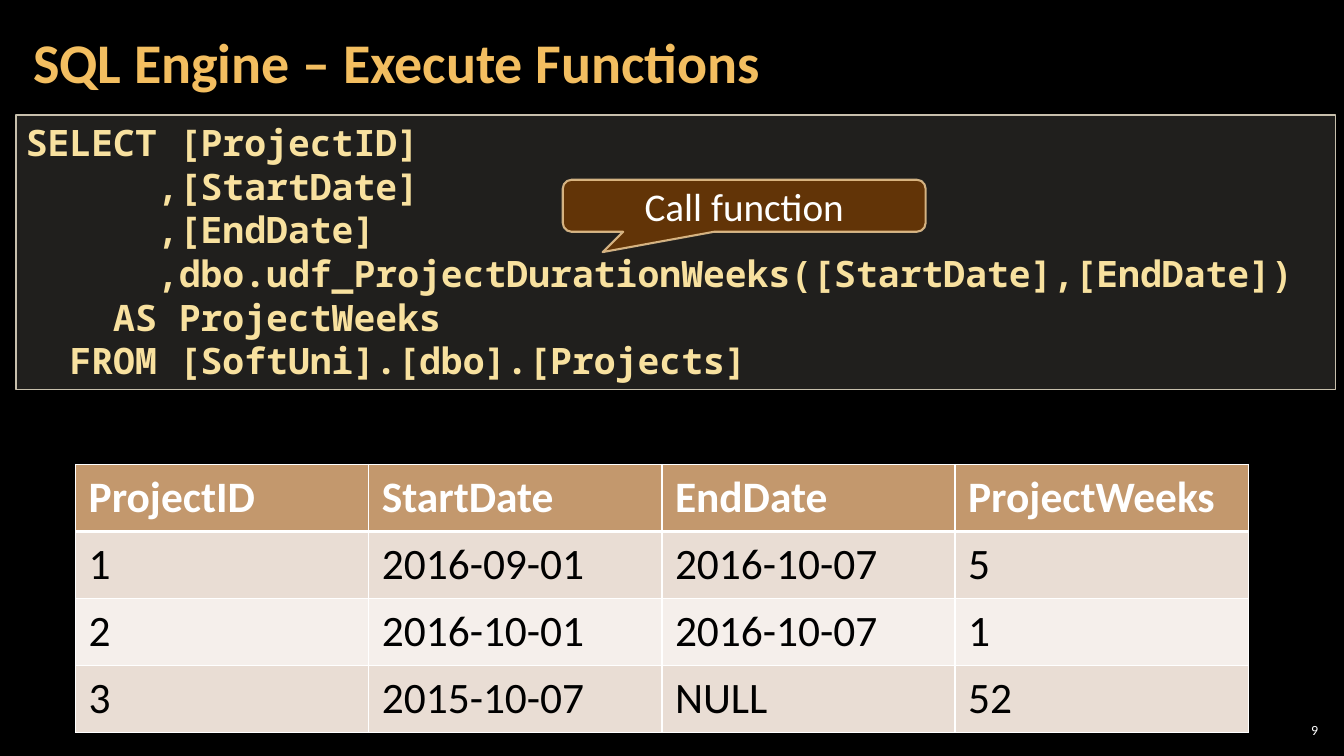
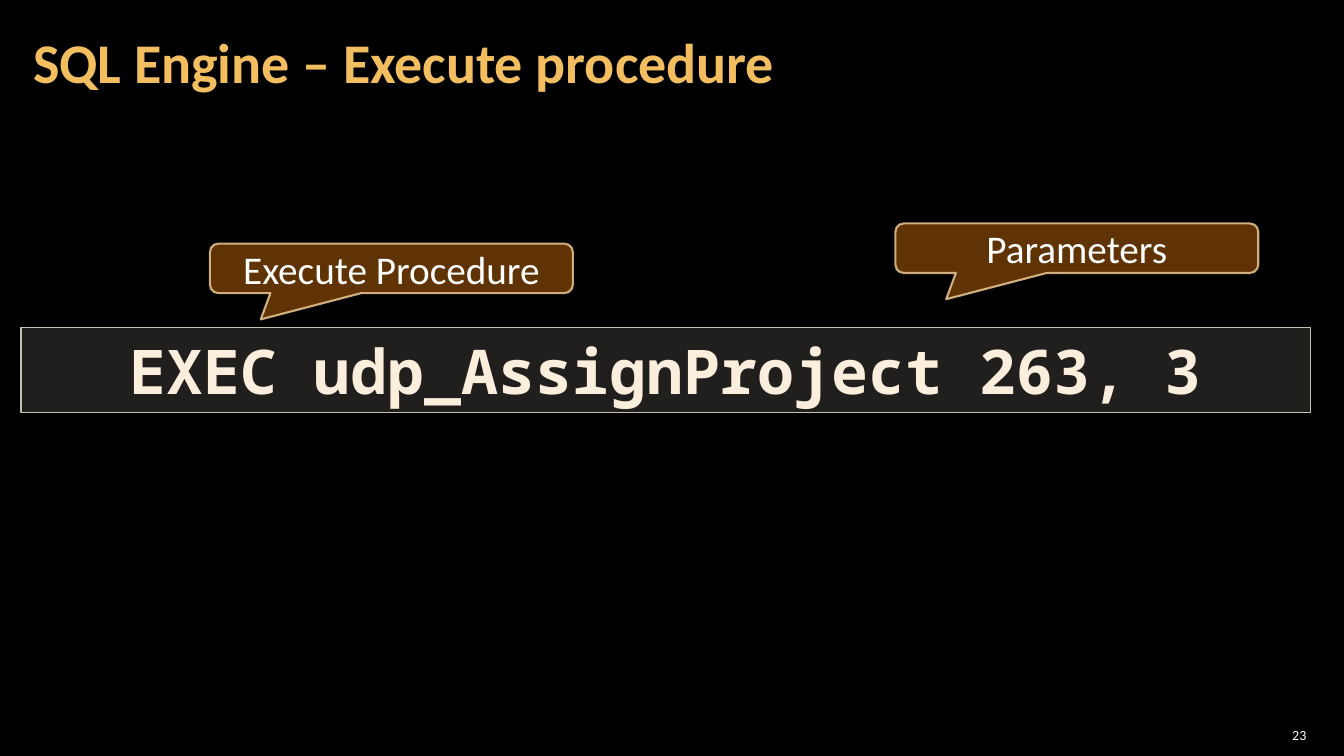
from lxml import etree
from pptx import Presentation
from pptx.dml.color import RGBColor
from pptx.enum.shapes import MSO_SHAPE
from pptx.enum.text import MSO_ANCHOR, MSO_AUTO_SIZE, PP_ALIGN
from pptx.oxml.ns import qn
from pptx.util import Inches, Pt

RECT = MSO_SHAPE.RECTANGLE
BUBBLE = MSO_SHAPE.ROUNDED_RECTANGULAR_CALLOUT
TOP, MIDDLE = MSO_ANCHOR.TOP, MSO_ANCHOR.MIDDLE
LEFT, CENTER, RIGHT = PP_ALIGN.LEFT, PP_ALIGN.CENTER, PP_ALIGN.RIGHT
NO_FIT = MSO_AUTO_SIZE.NONE

SANS, MONO = "Calibri", "Noto Sans Mono"
COLORS = {
    "back": "000000", "title": "F3BE60", "white": "FFFFFF",
    "panel": "D9D5C7", "edge": "C7BFAC", "code": "F8E19F", "cream": "FBEEDC",
    "bubble": "663606", "rim": "F8D49E",
    "head": "C3986D", "odd": "E9DDD4", "even": "F5EFEB", "ink": "000000",
}

# The slide is a grid of square cells
COLS, ROWS = 160, 90
WIDTH, HEIGHT = Inches(13.33), Inches(7.5)
TITLE_BOX = (2.5, 0.5, 125.6, 14.5)

QUERY = """SELECT [ProjectID]
      ,[StartDate]
      ,[EndDate]
      ,dbo.udf_ProjectDurationWeeks([StartDate],[EndDate])
    AS ProjectWeeks
  FROM [SoftUni].[dbo].[Projects]"""
RESULT = [
    ("ProjectID", "StartDate", "EndDate", "ProjectWeeks"),
    ("1", "2016-09-01", "2016-10-07", "5"),
    ("2", "2016-10-01", "2016-10-07", "1"),
    ("3", "2015-10-07", "NULL", "52"),
]


# Shared helpers
def rgb(name):
    return RGBColor.from_string(COLORS[name])


def place(box):
    x, y, w, h = box
    return [round(x * WIDTH / COLS), round(y * HEIGHT / ROWS),
            round(w * WIDTH / COLS), round(h * HEIGHT / ROWS)]


def paint(fill, name, alpha=100):
    fill.solid()
    fill.fore_color.rgb = rgb(name)
    if alpha < 100:
        tint = fill._xPr.find(f"{qn('a:solidFill')}/{qn('a:srgbClr')}")
        etree.SubElement(tint, qn("a:alpha"), val=str(alpha * 1000))


def write(frame, text, size, color, font=SANS, bold=False, align=LEFT,
          anchor=MIDDLE, pad=(0.1, 0.05)):
    frame.word_wrap = True
    frame.auto_size = NO_FIT
    frame.vertical_anchor = anchor
    frame.margin_left = frame.margin_right = Inches(pad[0])
    frame.margin_top = frame.margin_bottom = Inches(pad[1])
    frame.text = text
    for par in frame.paragraphs:
        par.alignment = align
        style(par.font, size, color, font, bold)


def style(face, size, color, font=SANS, bold=False):
    face.name, face.size, face.bold = font, Pt(size), bold
    face.color.rgb = rgb(color)


def block(slide, kind, box, fill, line, width):
    shape = slide.shapes.add_shape(kind, *place(box))
    shape.shadow.inherit = False
    paint(shape.fill, *fill)
    paint(shape.line.fill, *line)
    shape.line.width = Pt(width)
    return shape


# Slide parts
def start(deck, title, number, box):
    slide = deck.slides.add_slide(deck.slide_layouts[5])
    head = slide.shapes.title
    head.left, head.top, head.width, head.height = place(TITLE_BOX)
    write(head.text_frame, title, 40, "title", bold=True, pad=(0.12, 0.04))
    head.text_frame.paragraphs[0].line_spacing = 0.9
    page = slide.shapes.add_textbox(*place(box))
    write(page.text_frame, number, 10, "white", align=RIGHT, pad=(0.04, 0.04))
    return slide


def code(slide, box, text, size, color, align=LEFT):
    panel = block(slide, RECT, box, ("panel", 15), ("edge",), 1)
    write(panel.text_frame, text, size, color, MONO, True, align, TOP)


def callout(slide, box, text, tip):
    bubble = block(slide, BUBBLE, box, ("bubble", 95), ("rim", 80), 1.5)
    for i, value in enumerate((*tip, 0.17)):
        bubble.adjustments[i] = value
    write(bubble.text_frame, text, 28, "white", align=CENTER)


def border(cell, head):
    props = cell._tc.get_or_add_tcPr()
    for side in "LRTB":
        width = Pt(3 if head and side == "B" else 1)
        line = etree.SubElement(props, qn(f"a:ln{side}"), w=str(int(width)))
        fill = etree.SubElement(line, qn("a:solidFill"))
        etree.SubElement(fill, qn("a:srgbClr"), val=COLORS["white"])


def table(slide, box, rows):
    x, y, w, h = place(box)
    grid = slide.shapes.add_table(len(rows), len(rows[0]), x, y, w, h).table
    for r, row in enumerate(rows):
        grid.rows[r].height = h // len(rows)
        head = r == 0
        for c, text in enumerate(row):
            cell = grid.cell(r, c)
            border(cell, head)
            paint(cell.fill, "head" if head else "odd" if r % 2 else "even")
            cell.margin_left = cell.margin_right = Inches(0.13)
            cell.margin_top = cell.margin_bottom = Inches(0.07)
            cell.text = text
            style(cell.text_frame.paragraphs[0].font, 31,
                  "white" if head else "ink", bold=head)


# Slides
def functions(deck):
    slide = start(deck, "SQL Engine – Execute Functions", "9",
                  (151.8, 85.7, 5.6, 2.5))
    code(slide, (1.9, 13.7, 157.1, 32.7), QUERY, 26, "code")
    table(slide, (9, 55.3, 139.6, 31.4), RESULT)
    callout(slide, (67, 21.4, 43.2, 6.2), "Call function", (-0.39, 0.89))


def procedure(deck):
    slide = start(deck, "SQL Engine – Execute procedure", "23",
                  (150, 86, 6, 3))
    code(slide, (2.5, 39, 153.5, 10.1), "EXEC udp_AssignProject 263, 3",
         44, "cream", CENTER)
    for x, y, text in ((25, 29, "Execute Procedure"),
                       (106.6, 26.6, "Parameters")):
        callout(slide, (x, y, 43.2, 5.9), text, (-0.36, 1.03))


def main():
    deck = Presentation()
    deck.slide_width, deck.slide_height = WIDTH, HEIGHT
    paint(deck.slide_master.background.fill, "back")
    functions(deck)
    procedure(deck)
    deck.save("out.pptx")


if __name__ == "__main__":
    main()
